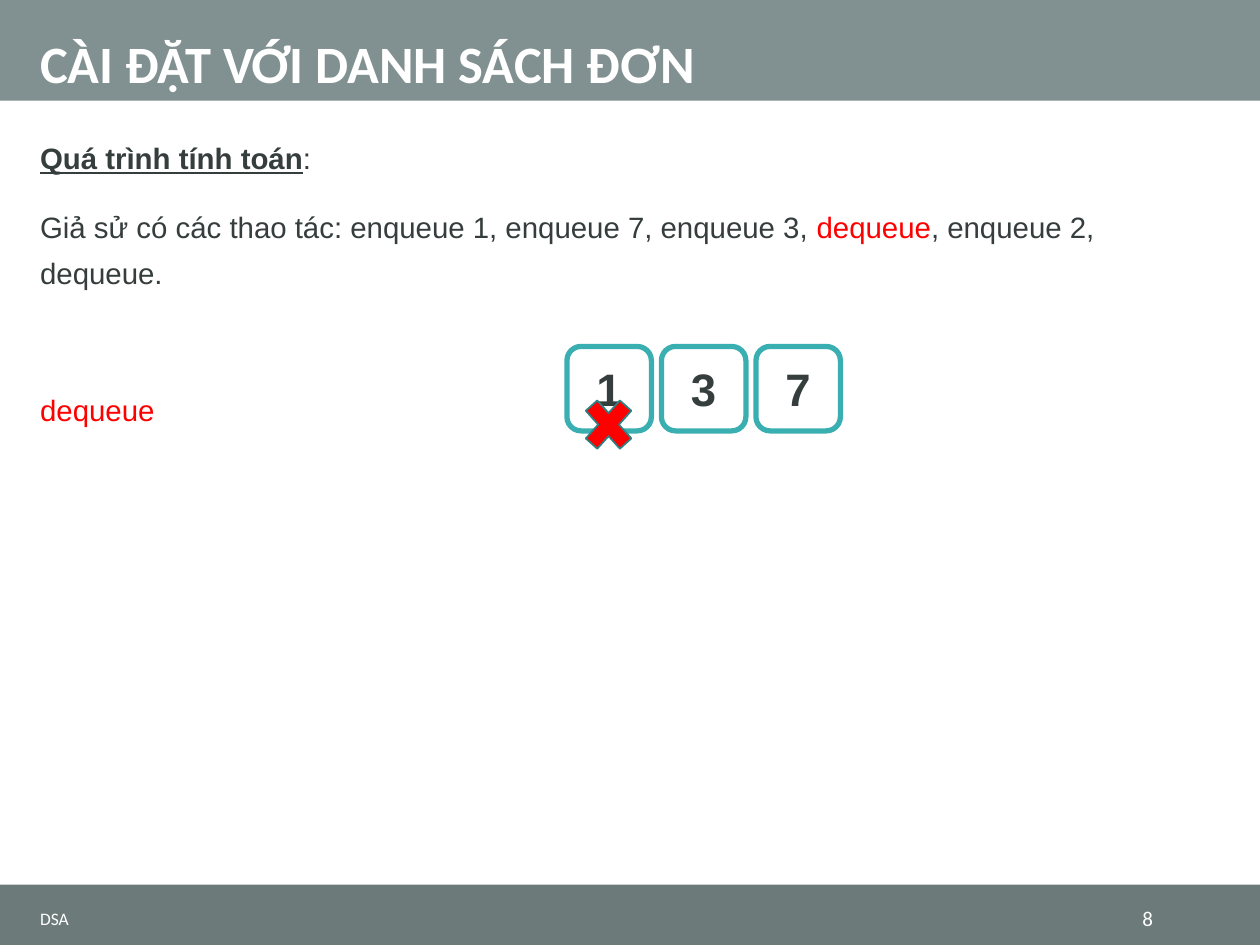
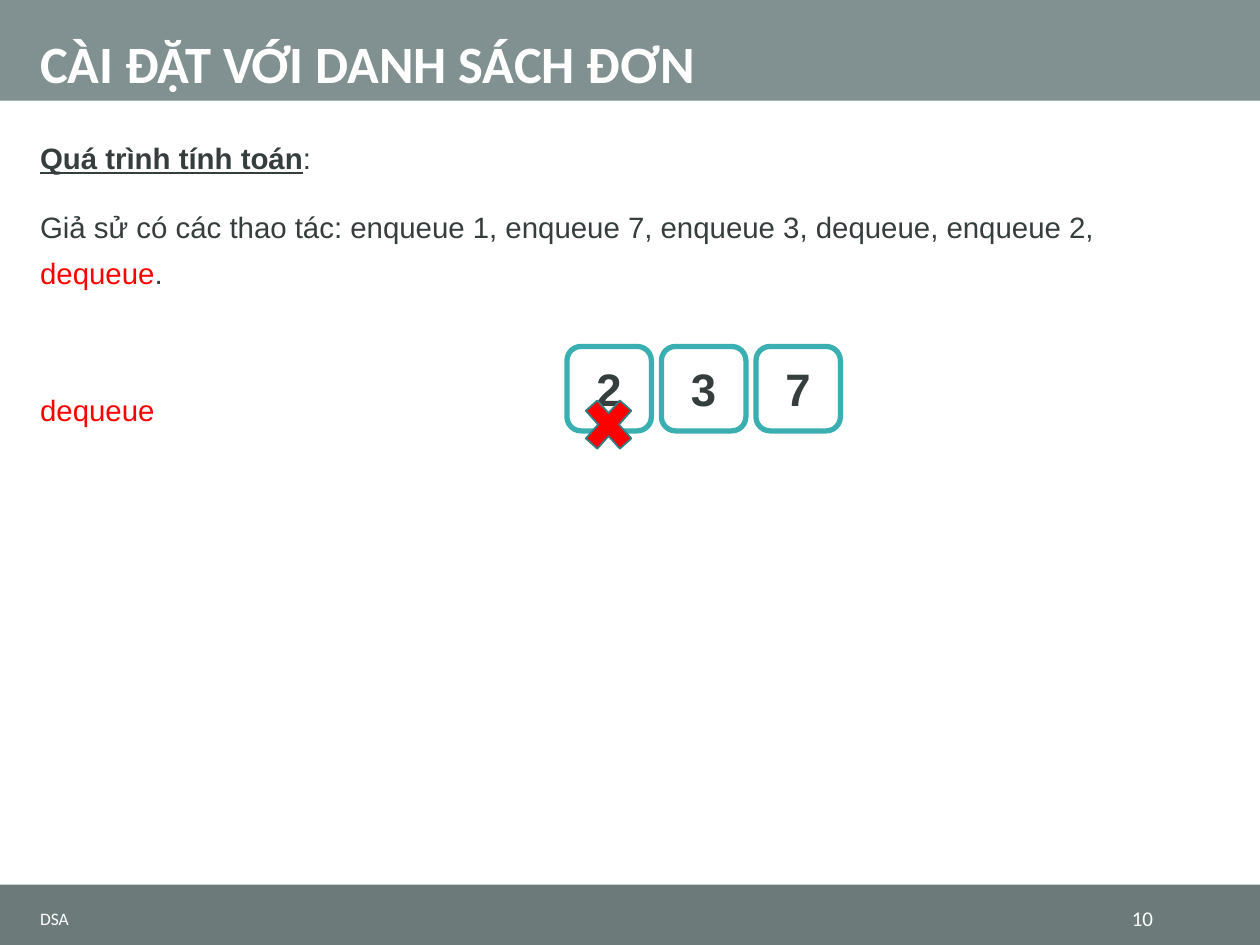
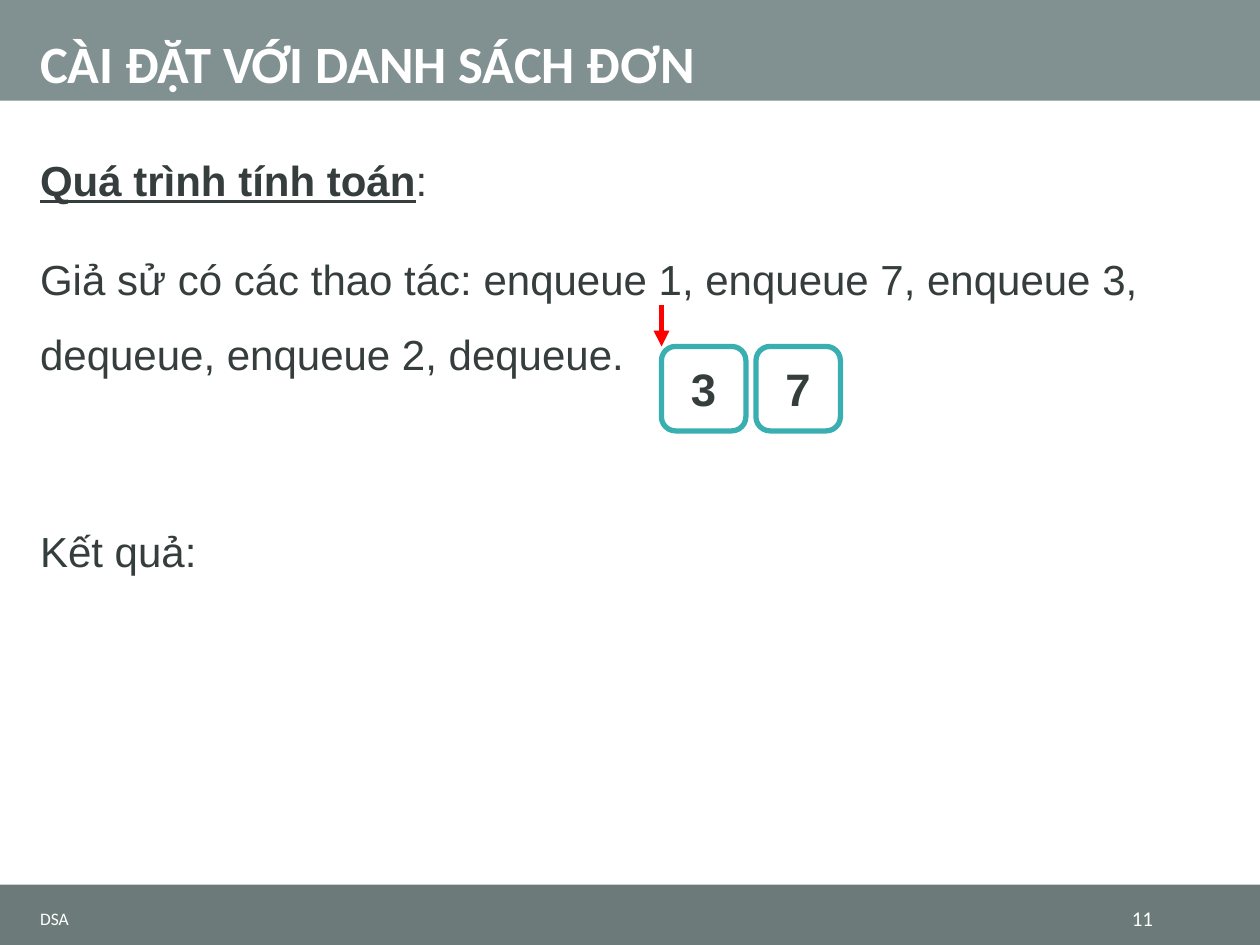
from lxml.etree import SubElement
from pptx import Presentation
from pptx.dml.color import RGBColor
from pptx.enum.shapes import MSO_CONNECTOR, MSO_SHAPE
from pptx.enum.text import MSO_ANCHOR, PP_ALIGN
from pptx.oxml.ns import qn
from pptx.util import Inches, Pt

WHITE = RGBColor(0xFF, 0xFF, 0xFF)
RED = RGBColor(0xFF, 0x00, 0x00)
INK = RGBColor(0x36, 0x3D, 0x3D)
TEAL = RGBColor(0x3A, 0xAF, 0xB2)
DARK_TEAL = RGBColor(0x2B, 0x81, 0x84)
TITLE_BAND = RGBColor(0x81, 0x90, 0x90)
FOOTER_BAND = RGBColor(0x6C, 0x7A, 0x7A)

TITLE = "CÀI ĐẶT VỚI DANH SÁCH ĐƠN"
HEADING = "Quá trình tính toán"
OPERATIONS = "Giả sử có các thao tác: enqueue 1, enqueue 7, enqueue 3, "
MARGIN = 0.22

TITLE_FONT = {"name": "Calibri", "size": Pt(30), "bold": True}
FOOTER_FONT = {"name": "Calibri", "size": Pt(10)}
NUMBER_FONT = {"name": "Calibri", "size": Pt(12)}
CELL_FONT = {"name": "Arial", "size": Pt(26), "bold": True}
HEADING_FONT = {"bold": True, "underline": True}

CELL_SIZE, CELL_STEP, CELL_LEFT, CELL_TOP = 0.67, 0.75, 4.5, 2.75
ARROW_LENGTH = 0.33

# "gap" is the space before the last paragraph
SMALL_BODY = {"height": 2.61, "size": 16.8, "spacing": 1.3, "gap": 46}
LARGE_BODY = {"height": 6.05, "size": 24, "spacing": 1.5, "gap": 63}

SLIDES = [
    {"number": "8", "body": SMALL_BODY, "cells": ["1", "3", "7"], "first_column": 0,
     "operations": [(OPERATIONS, INK), ("dequeue", RED), (", enqueue 2, dequeue.", INK)],
     "last_line": ("dequeue", RED)},
    {"number": "10", "body": SMALL_BODY, "cells": ["2", "3", "7"], "first_column": 0,
     "operations": [(OPERATIONS + "dequeue, enqueue 2, ", INK), ("dequeue", RED), (".", INK)],
     "last_line": ("dequeue", RED)},
    {"number": "11", "body": LARGE_BODY, "cells": ["3", "7"], "first_column": 1,
     "operations": [(OPERATIONS + "dequeue, enqueue 2, dequeue.", INK)],
     "last_line": ("Kết quả:", INK)},
]


def add_shape(slide, kind, box, fill, line=None, line_width=0):
    shape = slide.shapes.add_shape(kind, *map(Inches, box))
    shape.shadow.inherit = False
    shape.fill.solid()
    shape.fill.fore_color.rgb = fill
    if line is None:
        shape.line.fill.background()
    else:
        shape.line.color.rgb = line
        shape.line.width = Pt(line_width)
    return shape


def write(shape, runs, font, anchor=MSO_ANCHOR.MIDDLE, new_paragraph=False, **paragraph_format):
    frame = shape.text_frame
    frame.word_wrap = True
    frame.vertical_anchor = anchor
    paragraph = frame.add_paragraph() if new_paragraph else frame.paragraphs[0]
    for name, value in paragraph_format.items():
        setattr(paragraph, name, value)
    for text, color, *extra in runs:
        run = paragraph.add_run()
        run.text = text
        run.font.color.rgb = color
        for name, value in (font | (extra[0] if extra else {})).items():
            setattr(run.font, name, value)


presentation = Presentation()
presentation.slide_width = Inches(10)
presentation.slide_height = Inches(7.5)

for content in SLIDES:
    slide = presentation.slides.add_slide(presentation.slide_layouts[6])

    # Bands
    add_shape(slide, MSO_SHAPE.RECTANGLE, (0, 0, 10, 0.8), TITLE_BAND)
    add_shape(slide, MSO_SHAPE.RECTANGLE, (0, 7.02, 10, 0.48), FOOTER_BAND)

    # Title, footer and slide number
    for text, box, font, anchor, paragraph_format in [
        (TITLE, (MARGIN, 0, 9.57, 0.8), TITLE_FONT, MSO_ANCHOR.BOTTOM, {"line_spacing": 0.9}),
        ("DSA", (MARGIN, 7.16, 6.95, 0.26), FOOTER_FONT, MSO_ANCHOR.MIDDLE, {}),
        (content["number"], (8.47, 7.16, 0.78, 0.26), NUMBER_FONT, MSO_ANCHOR.MIDDLE,
         {"alignment": PP_ALIGN.RIGHT}),
    ]:
        text_box = slide.shapes.add_textbox(*map(Inches, box))
        write(text_box, [(text, WHITE)], font, anchor, **paragraph_format)

    # Body text
    body = content["body"]
    body_box = slide.shapes.add_textbox(*map(Inches, (MARGIN, 0.98, 9.57, body["height"])))
    body_font = {"name": "Arial", "size": Pt(body["size"])}
    body_paragraphs = [
        ([(HEADING, INK, HEADING_FONT), (":", INK)], 7),
        (content["operations"], 7),
        ([content["last_line"]], body["gap"]),
    ]
    for index, (runs, space_before) in enumerate(body_paragraphs):
        write(body_box, runs, body_font, MSO_ANCHOR.TOP, new_paragraph=index > 0,
              line_spacing=body["spacing"], space_before=Pt(space_before), space_after=Pt(6))

    # Queue cells
    first_left = CELL_LEFT + content["first_column"] * CELL_STEP
    for index, value in enumerate(content["cells"]):
        box = (first_left + index * CELL_STEP, CELL_TOP, CELL_SIZE, CELL_SIZE)
        cell = add_shape(slide, MSO_SHAPE.ROUNDED_RECTANGLE, box, WHITE, TEAL, 3)
        write(cell, [(value, INK)], CELL_FONT, alignment=PP_ALIGN.CENTER)

    if content["first_column"] == 0:
        # Cross on the removed cell
        add_shape(slide, MSO_SHAPE.MATH_MULTIPLY, (4.57, 3.08, 0.52, 0.58), RED, DARK_TEAL, 1)
    else:
        # Arrow to the head of the queue
        ends = (first_left, CELL_TOP - ARROW_LENGTH, first_left, CELL_TOP)
        arrow = slide.shapes.add_connector(MSO_CONNECTOR.STRAIGHT, *map(Inches, ends))
        arrow.line.color.rgb = RED
        arrow.line.width = Pt(3)
        SubElement(arrow.line._get_or_add_ln(), qn("a:tailEnd"), type="triangle")
        SubElement(arrow._element.spPr, qn("a:effectLst"))

presentation.save("out.pptx")
